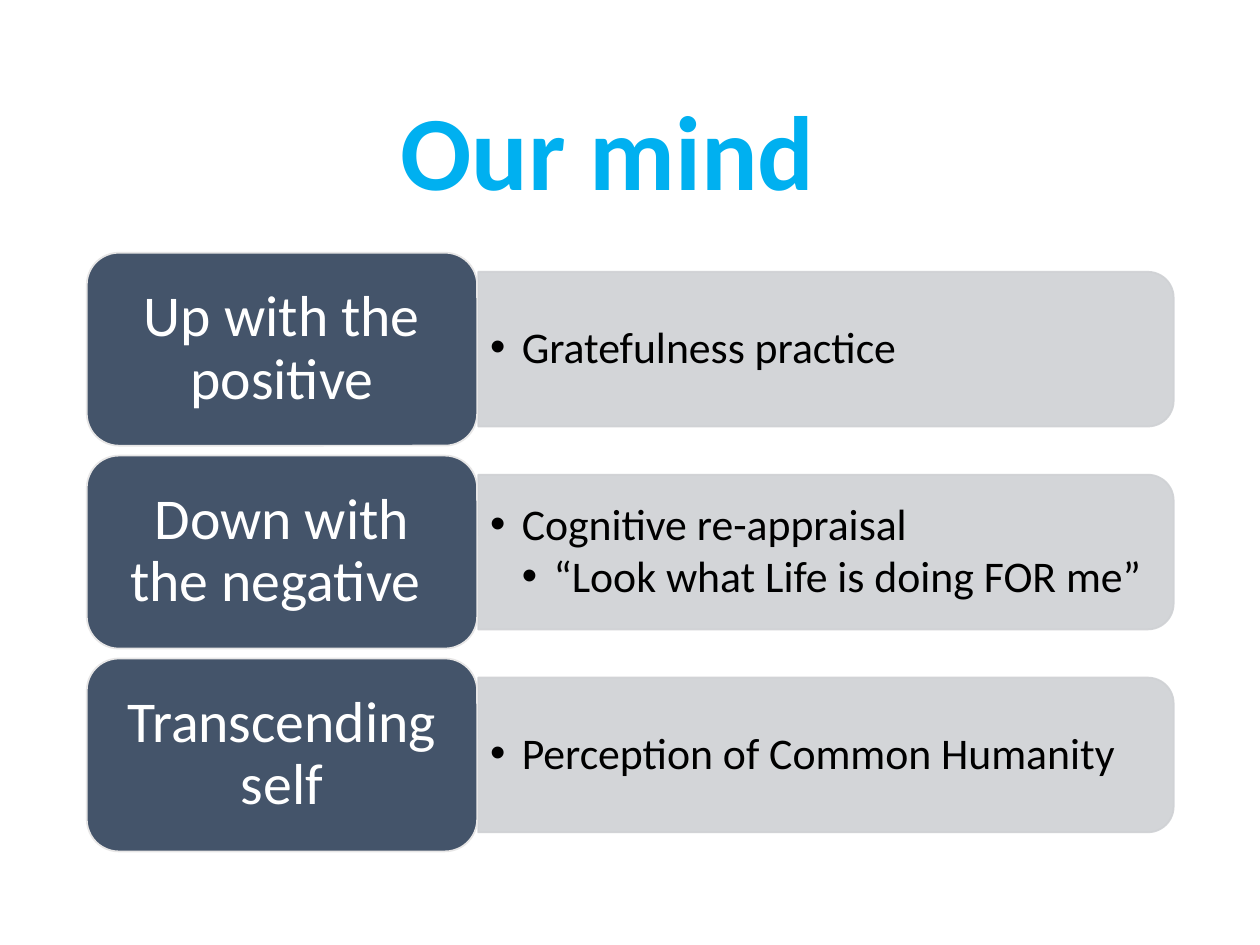
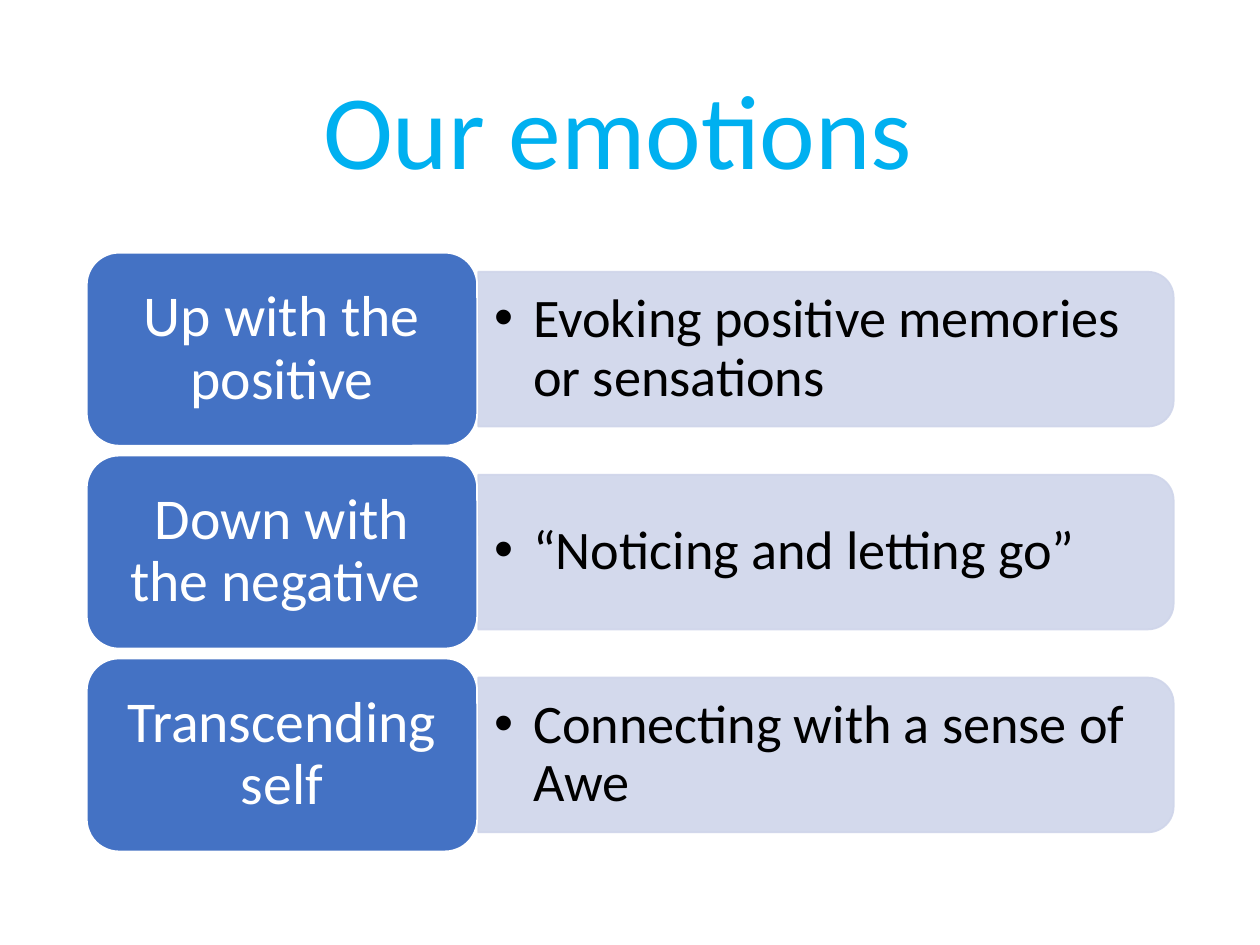
"""Build two slides that pair three mental habits with their practices."""
from dataclasses import dataclass

from lxml.etree import SubElement
from pptx import Presentation
from pptx.dml.color import RGBColor
from pptx.enum.shapes import MSO_SHAPE as Shape
from pptx.enum.text import MSO_ANCHOR as Anchor, MSO_AUTO_SIZE as AutoSize, PP_ALIGN as Align
from pptx.oxml.ns import qn
from pptx.util import Cm, Pt

FONT = "Calibri"
BLACK = RGBColor(0x00, 0x00, 0x00)
WHITE = RGBColor(0xFF, 0xFF, 0xFF)
SKY = RGBColor(0x00, 0xB0, 0xF0)
SLATE = RGBColor(0x44, 0x54, 0x6A)
PALE_GREY = RGBColor(0xE7, 0xE6, 0xE6)
BAND_GREY = RGBColor(0xCF, 0xD1, 0xD4)
BLUE = RGBColor(0x44, 0x72, 0xC4)
BAND_BLUE = RGBColor(0xCF, 0xD5, 0xEA)

HABITS = ["Up with the positive", "Down with the negative ", "Transcending self"]
FIRST_CENTER, ROW_PITCH = 7.04, 4.09
LABEL_LEFT, LABEL_WIDTH, LABEL_HEIGHT = 1.75, 7.87, 3.89
BAND_CENTER, BAND_WIDTH, BAND_HEIGHT = 16.65, 14.02, 3.12
LIST_LEFT, LIST_WIDTH, LIST_HEIGHT = 9.63, 13.87, 2.82


@dataclass
class Style:
    """Colours and list sizes of one slide, lengths in centimetres."""
    label: RGBColor
    outline: RGBColor
    band: RGBColor
    list_size: int
    indent: float
    inset_x: float
    inset_y: float


class HabitSlide:
    """One slide with its style and a method for each kind of element."""

    def __init__(self, deck, style):
        self.slide = deck.slides.add_slide(deck.slide_layouts[5])
        self.style = style

    def set_frame(self, frame, inset_x, inset_y):
        frame.word_wrap = True
        frame.vertical_anchor = Anchor.MIDDLE
        frame.margin_left = frame.margin_right = Cm(inset_x)
        frame.margin_top = frame.margin_bottom = Cm(inset_y)

    def format_text(self, para, size, color, align, bold=False):
        para.alignment = align
        para.line_spacing = 0.9
        for span in para.runs:
            span.font.name = FONT
            span.font.size = Pt(size)
            span.font.bold = bold
            span.font.color.rgb = color

    def paint(self, shape, fill, line):
        shape.shadow.inherit = False
        shape.fill.solid()
        shape.fill.fore_color.rgb = fill
        shape.line.color.rgb = line
        shape.line.width = Pt(1)

    def title(self, text, left, top, width, drop, bold=False):
        box = self.slide.shapes.title
        box.left, box.top, box.width, box.height = Cm(left), Cm(top), Cm(width), Cm(3.15)
        frame = box.text_frame
        frame.text = text
        frame.auto_size = AutoSize.NONE
        frame.vertical_anchor = Anchor.TOP
        frame.margin_top, frame.margin_bottom = Cm(drop), 0
        self.format_text(frame.paragraphs[0], 60.3, SKY, Align.CENTER, bold)

    def band(self, center):
        shape = self.slide.shapes.add_shape(
            Shape.ROUND_2_SAME_RECTANGLE,
            Cm(BAND_CENTER - BAND_HEIGHT / 2), Cm(center - BAND_WIDTH / 2),
            Cm(BAND_HEIGHT), Cm(BAND_WIDTH))
        shape.rotation = 90
        self.paint(shape, self.style.band, self.style.band)
        for color in shape.element.iter(qn("a:srgbClr")):
            SubElement(color, qn("a:alpha"), val="90000")

    def practices(self, items, center):
        style = self.style
        box = self.slide.shapes.add_textbox(
            Cm(LIST_LEFT), Cm(center - LIST_HEIGHT / 2), Cm(LIST_WIDTH), Cm(LIST_HEIGHT))
        frame = box.text_frame
        self.set_frame(frame, style.inset_x, style.inset_y)
        frame.text = "\n".join(items)
        for level, para in enumerate(frame.paragraphs, start=1):
            self.format_text(para, style.list_size, BLACK, Align.LEFT)
            para.level = level
            para.space_after = Pt(3)
            properties = para._p.get_or_add_pPr()
            properties.set("marL", str(Cm(level * style.indent)))
            properties.set("indent", str(-Cm(style.indent)))
            SubElement(properties, qn("a:buFont"), typeface="Arial")
            SubElement(properties, qn("a:buChar"), char="•")

    def label(self, text, center):
        shape = self.slide.shapes.add_shape(
            Shape.ROUNDED_RECTANGLE, Cm(LABEL_LEFT), Cm(center - LABEL_HEIGHT / 2),
            Cm(LABEL_WIDTH), Cm(LABEL_HEIGHT))
        self.paint(shape, self.style.label, self.style.outline)
        self.set_frame(shape.text_frame, 0.36, 0.18)
        shape.text_frame.text = text
        self.format_text(shape.text_frame.paragraphs[0], 33, WHITE, Align.CENTER)

    def rows(self, practice_lists):
        for row, (habit, items) in enumerate(zip(HABITS, practice_lists)):
            center = FIRST_CENTER + row * ROW_PITCH
            self.band(center)
            self.practices(items, center)
            self.label(habit, center)


def main():
    deck = Presentation()
    deck.slide_width, deck.slide_height = Cm(25.4), Cm(19.05)

    mind = HabitSlide(deck, Style(SLATE, PALE_GREY, BAND_GREY, 25, 0.64, 0.25, 0.13))
    mind.title("Our mind", 1.3, 0.91, 21.89, drop=1.09, bold=True)
    mind.rows([
        ["Gratefulness practice"],
        ["Cognitive re-appraisal", "“Look what Life is doing FOR me”"],
        ["Perception of Common Humanity"],
    ])

    emotions = HabitSlide(deck, Style(BLUE, WHITE, BAND_BLUE, 31, 0.79, 0.33, 0.15))
    emotions.title("Our emotions ", 1.02, 0.3, 23.34, drop=1.27)
    emotions.rows([
        ["Evoking positive memories or sensations"],
        ["“Noticing and letting go”"],
        ["Connecting with a sense of Awe"],
    ])

    deck.save("out.pptx")


if __name__ == "__main__":
    main()
